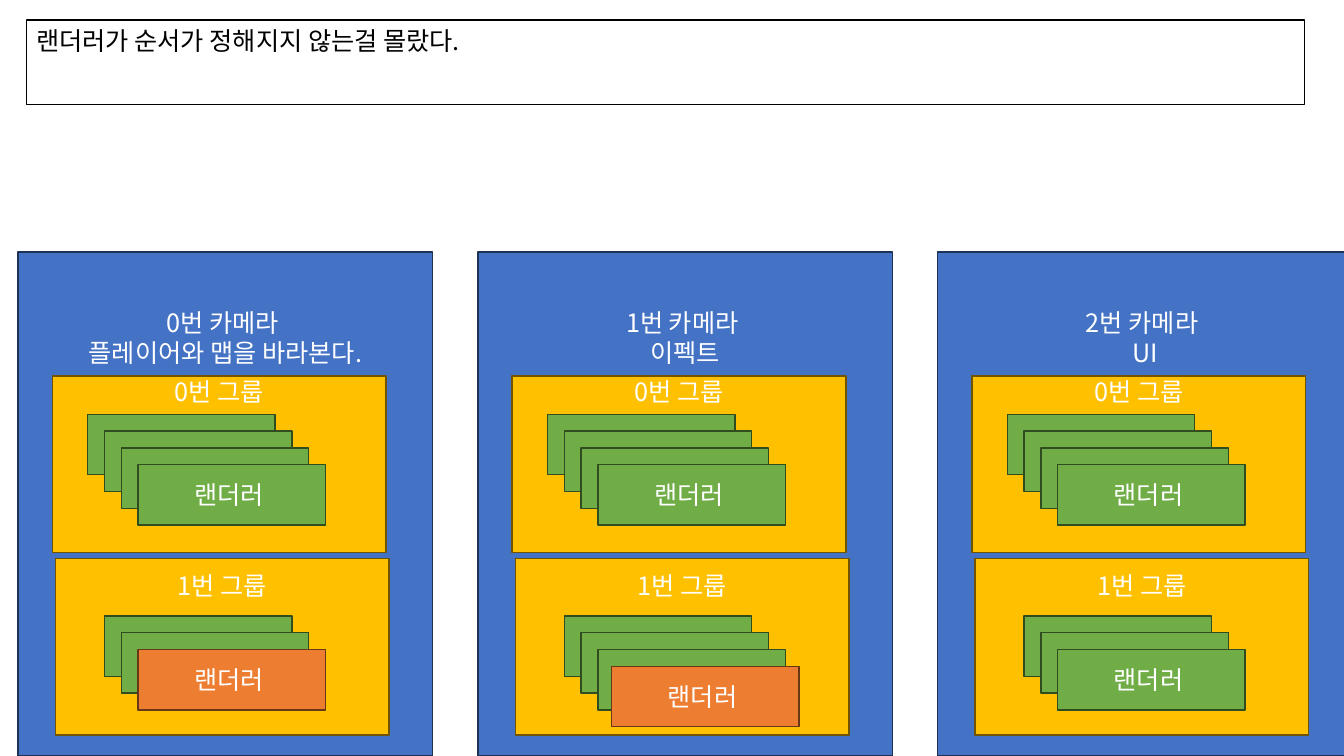
import pptx
import pptx.dml.color
import pptx.enum.shapes
import pptx.enum.text
import pptx.oxml.ns
import pptx.util
from lxml import etree
from pptx.util import Inches

FONT = "Noto Sans CJK KR"
BLUE = ("4472C4", "1E3256")
YELLOW = ("FFC000", "705400")
GREEN = ("70AD47", "314C1F")
ORANGE = ("ED7D31", "683715")
WHITE = ("FFFFFF", "000000")

COLUMN_LEFT, COLUMN_PITCH = 0.18, 4.56
STACK_STEP = 0.5 / 3
CAMERAS = [
    ("0번 카메라 \n플레이어와 맵을 바라본다.", [GREEN, GREEN, ORANGE]),
    ("1번 카메라 \n이펙트", [GREEN, GREEN, GREEN, ORANGE]),
    ("2번 카메라 \nUI", [GREEN, GREEN, GREEN]),
]


def color(value):
    return pptx.dml.color.RGBColor.from_string(value)


class CameraSlide:
    """Draws cameras, groups and renderers on one slide in a shared style."""

    def __init__(self, slide):
        self.slide = slide

    def box(self, left, top, width, height, colors, text, inset=None,
            text_color="FFFFFF", align=pptx.enum.text.PP_ALIGN.CENTER):
        shape = self.slide.shapes.add_shape(
            pptx.enum.shapes.MSO_SHAPE.RECTANGLE,
            Inches(left), Inches(top), Inches(width), Inches(height))
        shape.shadow.inherit = False
        fill, line = colors
        shape.fill.solid()
        shape.fill.fore_color.rgb = color(fill)
        shape.line.color.rgb = color(line)
        shape.line.width = pptx.util.Pt(1)
        frame = shape.text_frame
        frame.word_wrap = True
        frame.vertical_anchor = pptx.enum.text.MSO_ANCHOR.MIDDLE
        if inset is not None:
            frame.vertical_anchor = pptx.enum.text.MSO_ANCHOR.TOP
            frame.margin_top = Inches(inset)
        frame.text = text
        for para in frame.paragraphs:
            para.alignment = align
            for span in para.runs:
                span.font.size = pptx.util.Pt(18)
                span.font.color.rgb = color(text_color)
                span.font.name = FONT
                properties = span.font._element if hasattr(span.font, "_element") else span._r.get_or_add_rPr()
                etree.SubElement(properties, pptx.oxml.ns.qn("a:ea"), typeface=FONT)

    def note(self, text):
        self.box(0.26, 0.2, 12.68, 0.84, WHITE, text, 0.05, "000000",
                 pptx.enum.text.PP_ALIGN.LEFT)

    def group(self, left, top, text, inset):
        self.box(left, top, 3.31, 1.75, YELLOW, text, inset)

    def renderer(self, left, top, colors):
        self.box(left, top, 1.86, 0.6, colors, "랜더러 ")

    def stack(self, left, top, palette):
        for index, colors in enumerate(palette):
            offset = index * STACK_STEP
            nudge = 0.03 if index == 3 and colors == ORANGE else 0
            self.renderer(left + offset - nudge, top + offset, colors)

    def camera(self, left, title, palette):
        self.box(left, 2.5, 4.11, 5, BLUE, title, 0.55)
        self.group(left + 0.37, 5.54, "1번 그룹", 0.12)
        self.group(left + 0.34, 3.73, "0번 그룹", 0)
        self.stack(left + 0.69, 4.11, [GREEN] * 4)
        self.stack(left + 0.69 + STACK_STEP, 6.11, palette)


def main():
    deck = pptx.Presentation()
    deck.slide_width = Inches(13.33)
    deck.slide_height = Inches(7.5)
    page = CameraSlide(deck.slides.add_slide(deck.slide_layouts[6]))
    page.note("랜더러가 순서가 정해지지 않는걸 몰랐다.")
    for column, (title, palette) in enumerate(CAMERAS):
        page.camera(COLUMN_LEFT + column * COLUMN_PITCH, title, palette)
    deck.save("out.pptx")


if __name__ == "__main__":
    main()
